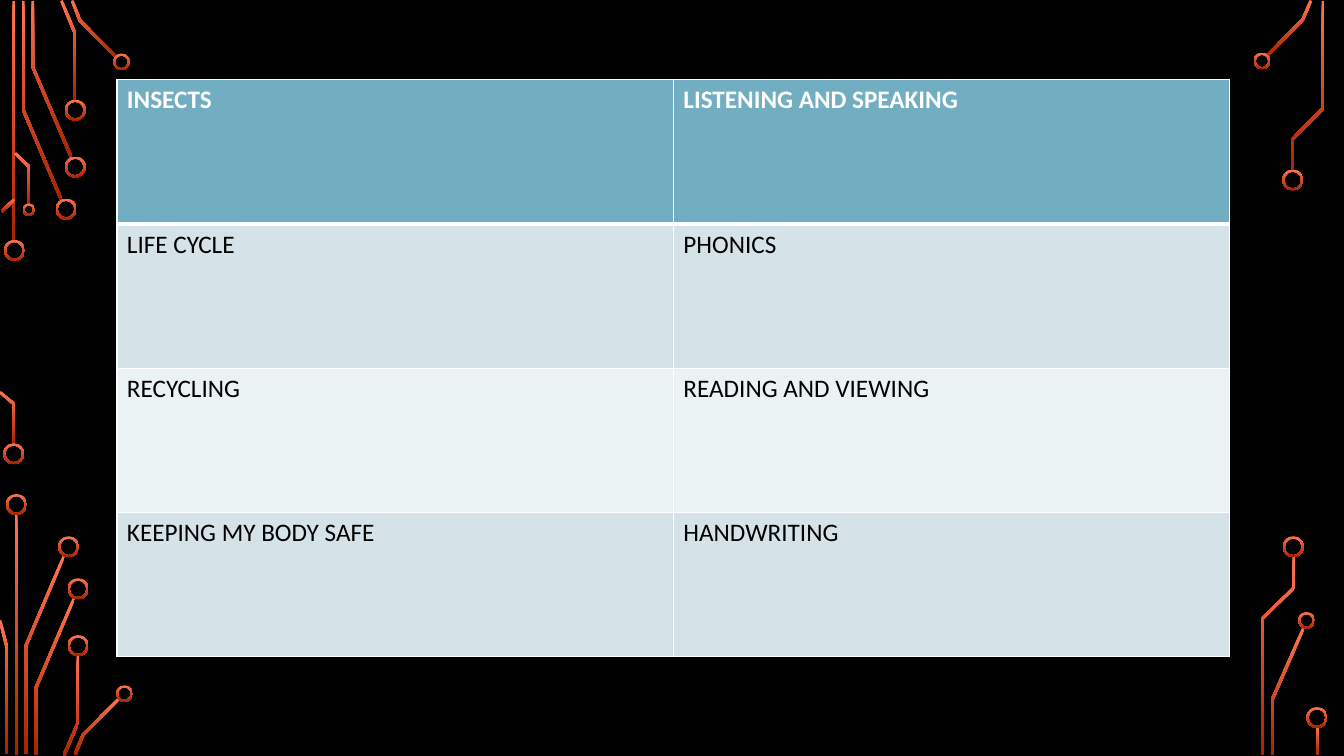
"""Build a slide with a two-column topic table framed by circuit traces."""
from dataclasses import dataclass
from math import hypot

from lxml import etree
from pptx import Presentation
from pptx.dml.color import RGBColor
from pptx.enum.shapes import MSO_SHAPE
from pptx.oxml.ns import qn
from pptx.util import Pt

RECTANGLE = MSO_SHAPE.RECTANGLE
DONUT = MSO_SHAPE.DONUT

BLACK = RGBColor(0x00, 0x00, 0x00)
WHITE = RGBColor(0xFF, 0xFF, 0xFF)
TRACE_LIGHT = RGBColor(0xFF, 0x74, 0x4E)
TRACE_DARK = RGBColor(0xA6, 0x24, 0x00)
HEADER_FILL = RGBColor(0x71, 0xAE, 0xC1)
BAND_FILLS = (RGBColor(0xEB, 0xF2, 0xF4), RGBColor(0xD5, 0xE3, 0xE9))

TRACE_WIDTH = 2
RING_THICKNESS = 1.5
ROW_HEIGHT = 103
COLUMN_WIDTH = 397.5

TOPICS = (
    ("INSECTS", "LISTENING AND SPEAKING"),
    ("LIFE CYCLE", "PHONICS"),
    ("RECYCLING", "READING AND VIEWING"),
    ("KEEPING MY BODY SAFE", "HANDWRITING"),
)


@dataclass
class Stem:
    left: float
    top: float
    height: float


@dataclass
class Ring:
    x: float
    y: float
    diameter: float = 15


@dataclass
class Trace:
    points: tuple


STEMS = (Stem(8.9, 0.7, 172), Stem(10.6, 367.2, 172), Stem(940, 519.1, 20.2))

TRACES = (
    Trace(((43.9, 142.9), (16.6, 78.5), (16.6, 0.7))),
    Trace(((51.1, 112.7), (23.4, 47.9), (23.4, 0.7))),
    Trace(((53.6, 72), (53.6, 23.8), (43.9, 0.4))),
    Trace(((83.2, 41), (57.2, 14.8), (51.5, 0.4))),
    Trace(((1.1, 151.2), (10.1, 142.6))),
    Trace(((10.1, 317.5), (10.1, 288.7), (0, 280.1))),
    Trace(((20.9, 146.2), (20.9, 119.2), (10.8, 109.4))),
    Trace(((18.4, 538.6), (18.4, 461.5), (45.7, 397.1))),
    Trace(((4.7, 538.6), (4.7, 461.5), (0, 443.2))),
    Trace(((25.6, 539.3), (25.6, 491.4), (52.9, 427.3))),
    Trace(((45.7, 539.6), (55.8, 516.2), (55.8, 468))),
    Trace(((53.6, 538.9), (59.4, 524.9), (85, 499))),
    Trace(((905, 40), (930.6, 14), (936.4, 0.4))),
    Trace(((909, 539.3), (909, 499.3), (931, 448.9))),
    Trace(((923, 121.7), (923, 99.7), (945, 77.4), (945, 0.7))),
    Trace(((901.8, 539.3), (901.8, 441.7), (924.1, 420.1), (924.1, 397.4))),
)

RINGS = (
    Ring(10.3, 178.9), Ring(9.8, 324.2), Ring(47.2, 149.4), Ring(53.8, 119.3),
    Ring(53.8, 78.7), Ring(86.8, 44.2, 12), Ring(20.6, 149.8, 9),
    Ring(11.7, 360.4), Ring(49, 390.6), Ring(55.8, 420.6), Ring(55.8, 461.2),
    Ring(88.9, 495.5, 12), Ring(901.4, 43.6, 12), Ring(923.4, 128.6),
    Ring(933.2, 443.2, 12), Ring(923.8, 390.6), Ring(940.7, 512.6),
)


def paint_copper(shape) -> None:
    shape.shadow.inherit = False
    shape.line.fill.background()
    shape.fill.gradient()
    shape.fill.gradient_angle = 270
    for stop, color in zip(shape.fill.gradient_stops, (TRACE_LIGHT, TRACE_DARK)):
        stop.color.rgb = color


def draw_stem(slide, stem: Stem) -> None:
    paint_copper(slide.shapes.add_shape(
        RECTANGLE, Pt(stem.left), Pt(stem.top), Pt(TRACE_WIDTH), Pt(stem.height)))


def draw_ring(slide, ring: Ring) -> None:
    size = Pt(ring.diameter)
    radius = ring.diameter / 2
    shape = slide.shapes.add_shape(
        DONUT, Pt(ring.x - radius), Pt(ring.y - radius), size, size)
    shape.adjustments[0] = RING_THICKNESS / ring.diameter
    paint_copper(shape)


def offset_side(points: tuple, distance: float) -> list:
    normals = []
    for (x1, y1), (x2, y2) in zip(points, points[1:]):
        length = hypot(x2 - x1, y2 - y1)
        normals.append(((y1 - y2) / length, (x2 - x1) / length))
    before, after = normals[:1] + normals, normals + normals[-1:]
    side = []
    for (x, y), (ax, ay), (bx, by) in zip(points, before, after):
        reach = distance / (1 + ax * bx + ay * by)
        side.append((Pt(x + (ax + bx) * reach), Pt(y + (ay + by) * reach)))
    return side


def draw_trace(slide, trace: Trace) -> None:
    half = TRACE_WIDTH / 2
    outline = offset_side(trace.points, half) + offset_side(trace.points, -half)[::-1]
    builder = slide.shapes.build_freeform(*outline[0])
    builder.add_line_segments(outline[1:], close=True)
    paint_copper(builder.convert_to_shape())


def write_text(frame, text: str, *, color: RGBColor, bold: bool = False,
               size: float = 18, font: str = "Calibri") -> None:
    run = frame.paragraphs[0].add_run()
    run.text = text
    run.font.name = font
    run.font.size = Pt(size)
    run.font.bold = bold
    run.font.color.rgb = color


def set_border(cell, side: str, width: float) -> None:
    properties = cell._tc.get_or_add_tcPr()
    line = etree.SubElement(properties, qn(f"a:ln{side}"), w=str(Pt(width)))
    fill = etree.SubElement(line, qn("a:solidFill"))
    etree.SubElement(fill, qn("a:srgbClr"), val=str(WHITE))


def draw_table(slide) -> None:
    row_count, column_count = len(TOPICS), len(TOPICS[0])
    table = slide.shapes.add_table(
        row_count, column_count, Pt(83.5), Pt(57),
        Pt(COLUMN_WIDTH * column_count), Pt(ROW_HEIGHT * row_count)).table
    for row_index, topics in enumerate(TOPICS):
        is_header = row_index == 0
        for column_index, topic in enumerate(topics):
            cell = table.cell(row_index, column_index)
            widths = {"L": 1, "R": 1, "T": 3 if row_index == 1 else 1,
                      "B": 3 if is_header else 1}
            for side, width in widths.items():
                set_border(cell, side, width)
            cell.fill.solid()
            cell.fill.fore_color.rgb = HEADER_FILL if is_header else BAND_FILLS[row_index % 2]
            write_text(cell.text_frame, topic, bold=is_header,
                       color=WHITE if is_header else BLACK)


def main() -> None:
    presentation = Presentation()
    presentation.slide_width, presentation.slide_height = Pt(960), Pt(540)
    slide = presentation.slides.add_slide(presentation.slide_layouts[6])
    slide.background.fill.solid()
    slide.background.fill.fore_color.rgb = BLACK
    for stem in STEMS:
        draw_stem(slide, stem)
    for trace in TRACES:
        draw_trace(slide, trace)
    for ring in RINGS:
        draw_ring(slide, ring)
    draw_table(slide)
    presentation.save("out.pptx")


if __name__ == "__main__":
    main()
